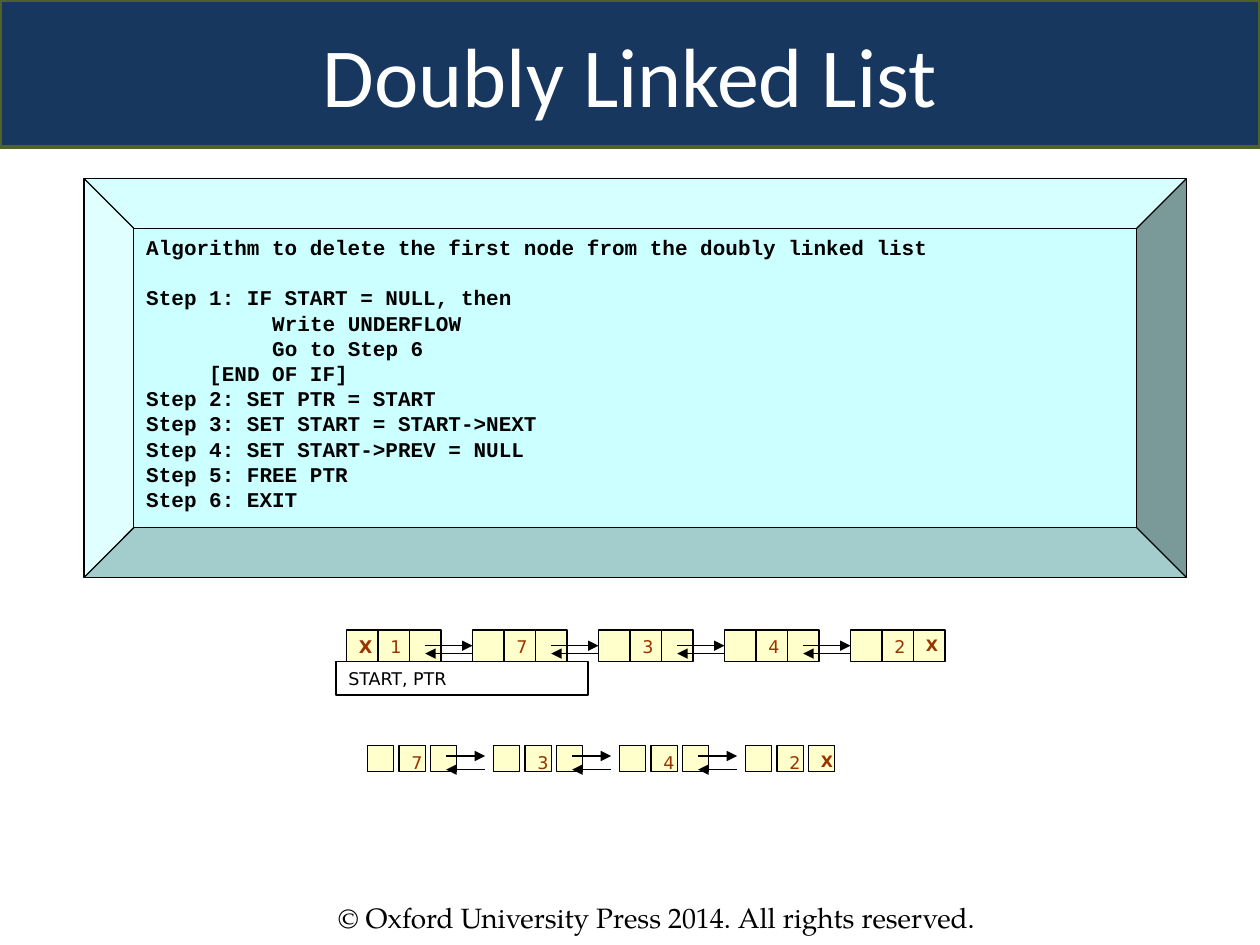
import pptx
import pptx.util
import pptx.dml.color
import pptx.enum.shapes
import pptx.enum.text
import lxml.etree

Pt = pptx.util.Pt
SHAPE = pptx.enum.shapes.MSO_SHAPE
ANCHOR = pptx.enum.text.MSO_ANCHOR
ALIGN = pptx.enum.text.PP_ALIGN

# Content
TITLE = "Doubly Linked List"
ALGORITHM = [
    "Algorithm to delete the first node from the doubly linked list",
    "Step 1: IF START = NULL, then",
    "\t\tWrite UNDERFLOW",
    "\t\tGo to Step 6",
    "\t[END OF IF]",
    "Step 2: SET PTR = START",
    "Step 3: SET START = START->NEXT",
    "Step 4: SET START->PREV = NULL",
    "Step 5: FREE PTR",
    "Step 6: EXIT",
]
POINTERS = "START, PTR"
COPYRIGHT = "© Oxford University Press 2014. All rights reserved."

# Each node is (previous, value, next); lengths are in grid units
LISTS = [
    {"nodes": [("X", "1", ""), ("", "7", ""), ("", "3", ""), ("", "4", ""), ("", "2", "X")],
     "left": 33, "top": 60, "cell": 3, "link_end": 12, "next_y": 1.5, "prev_y": 2.25},
    {"nodes": [("", "7", ""), ("", "3", ""), ("", "4", ""), ("", "2", "X")],
     "left": 35, "top": 71, "cell": 2.5, "link_end": 11.2, "next_y": 1, "prev_y": 2.3},
]
COLORS = {"navy": "17375E", "olive": "4F6228", "panel": "CCFFFF", "cell": "FFFFCC",
          "value": "993300", "black": "000000", "white": "FFFFFF"}

# Grid: twelve units to the inch
UNIT = pptx.util.Inches(1) / 12
NODE_STEP, CELL_STEP, LINK_START = 12, 3, 7.5


def grid(*units):
    return [round(u * UNIT) for u in units]


def rgb(name):
    return pptx.dml.color.RGBColor.from_string(COLORS[name])


def style_shape(sp, fill, line, width=0.75):
    if fill:
        sp.fill.solid()
        sp.fill.fore_color.rgb = rgb(fill)
    else:
        sp.fill.background()
    sp.line.color.rgb = rgb(line)
    sp.line.width = Pt(width)
    sp.shadow.inherit = False


def write(sp, text, size, font, color, bold=False, align=ALIGN.LEFT, anchor=ANCHOR.TOP):
    tf = sp.text_frame
    tf.text = text
    tf.word_wrap = True
    tf.vertical_anchor = anchor
    for p in tf.paragraphs:
        p.alignment = align
        for r in p.runs:
            r.font.size, r.font.name, r.font.bold = Pt(size), font, bold
            r.font.color.rgb = rgb(color)


def add_box(shapes, kind, place, fill):
    sp = shapes.add_shape(kind, *grid(*place))
    style_shape(sp, fill, "black")
    return sp


def add_arrow(shapes, x1, x2, y):
    cn = shapes.add_connector(pptx.enum.shapes.MSO_CONNECTOR.STRAIGHT, *grid(x1, y, x2, y))
    cn.line.color.rgb = rgb("black")
    cn.line.width = Pt(0.75)
    ns = pptx.oxml.ns.qn
    lxml.etree.SubElement(cn.line._get_or_add_ln(), ns("a:tailEnd"), type="triangle")
    lxml.etree.SubElement(cn._element.spPr, ns("a:effectLst"))


def add_list(slide, data):
    shapes = slide.shapes.add_group_shape().shapes
    last = len(data["nodes"]) - 1
    top, cell = data["top"], data["cell"]
    for i, node in enumerate(data["nodes"]):
        left = data["left"] + i * NODE_STEP
        for j, text in enumerate(node):
            sp = add_box(shapes, SHAPE.RECTANGLE, (left + j * CELL_STEP, top, cell, cell), "cell")
            if text:
                size = 9 if j == 2 else 10
                write(sp, text, size, "DejaVu Sans", "value", bold=text == "X")
    for i in range(last):
        left = data["left"] + i * NODE_STEP
        start, end = left + LINK_START, left + data["link_end"]
        add_arrow(shapes, start, end, top + data["next_y"])
        add_arrow(shapes, end, start, top + data["prev_y"])


def main():
    prs = pptx.Presentation()
    prs.slide_width, prs.slide_height = grid(120, 90)
    slide = prs.slides.add_slide(prs.slide_layouts[5])

    # Title band
    title = slide.shapes.title
    title.left, title.top, title.width, title.height = grid(0, 0, 120, 14)
    title.fill.solid()
    title.fill.fore_color.rgb = rgb("navy")
    title.line.color.rgb = rgb("olive")
    title.line.width = Pt(2)
    write(title, TITLE, 48, "Calibri", "white", align=ALIGN.CENTER, anchor=ANCHOR.MIDDLE)

    # Algorithm panel
    panel = add_box(slide.shapes, SHAPE.BEVEL, (8, 17, 105, 38), "panel")
    write(panel, "\n".join(ALGORITHM), 12, "Courier New", "black", bold=True)
    for p in panel.text_frame.paragraphs:
        p.line_spacing = Pt(14.4)
    panel.text_frame.paragraphs[0].space_after = Pt(14.4)

    # Lists before and after the deletion
    for data in LISTS:
        add_list(slide, data)
    label = add_box(slide.shapes, SHAPE.RECTANGLE, (32, 63, 24, 3.2), None)
    write(label, POINTERS, 10, "DejaVu Sans", "black", anchor=ANCHOR.MIDDLE)

    # Copyright line
    footer = slide.shapes.add_textbox(*grid(31, 85.2, 71, 4.4))
    write(footer, COPYRIGHT, 16, "TeX Gyre Pagella", "black")

    prs.save("out.pptx")


if __name__ == "__main__":
    main()
